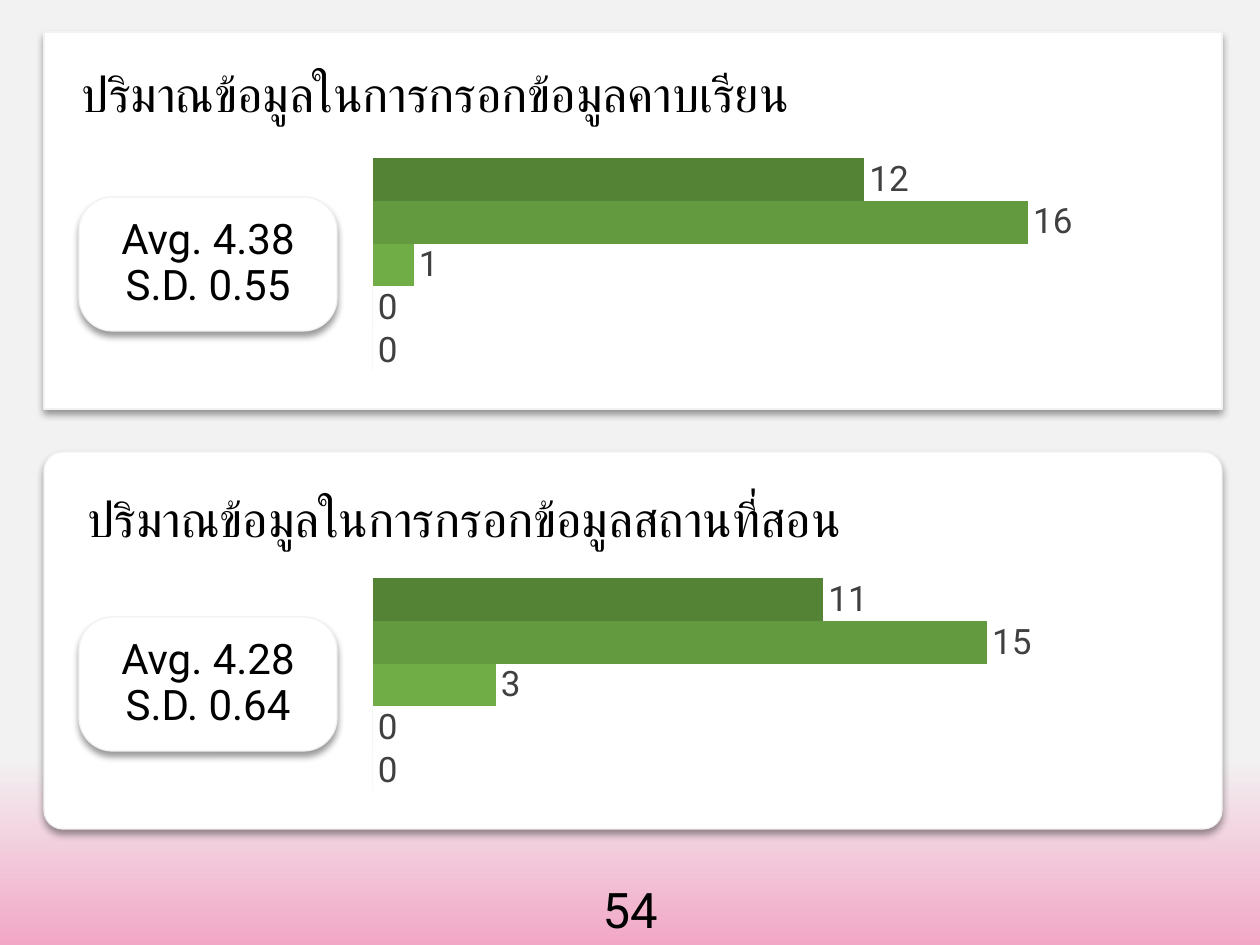
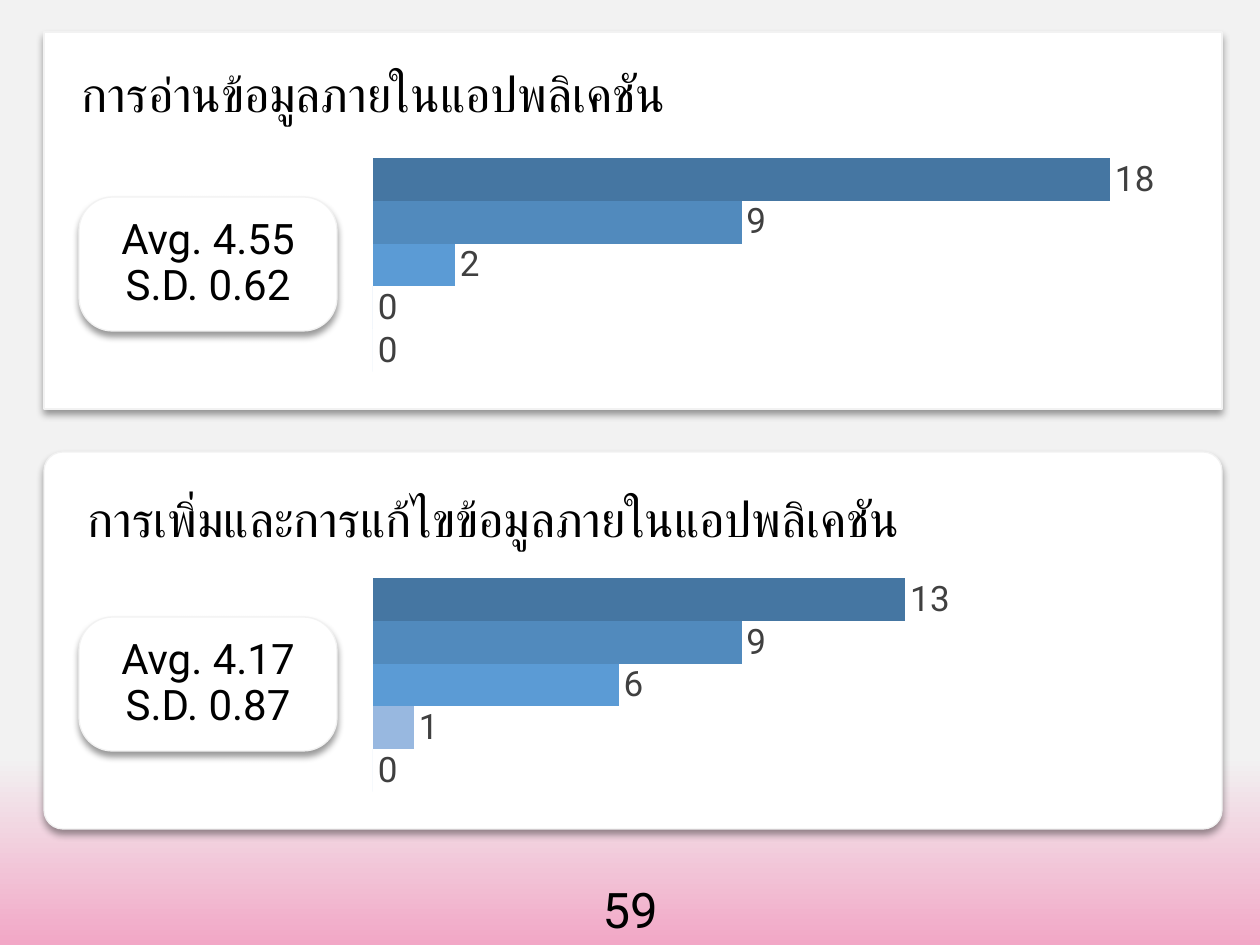
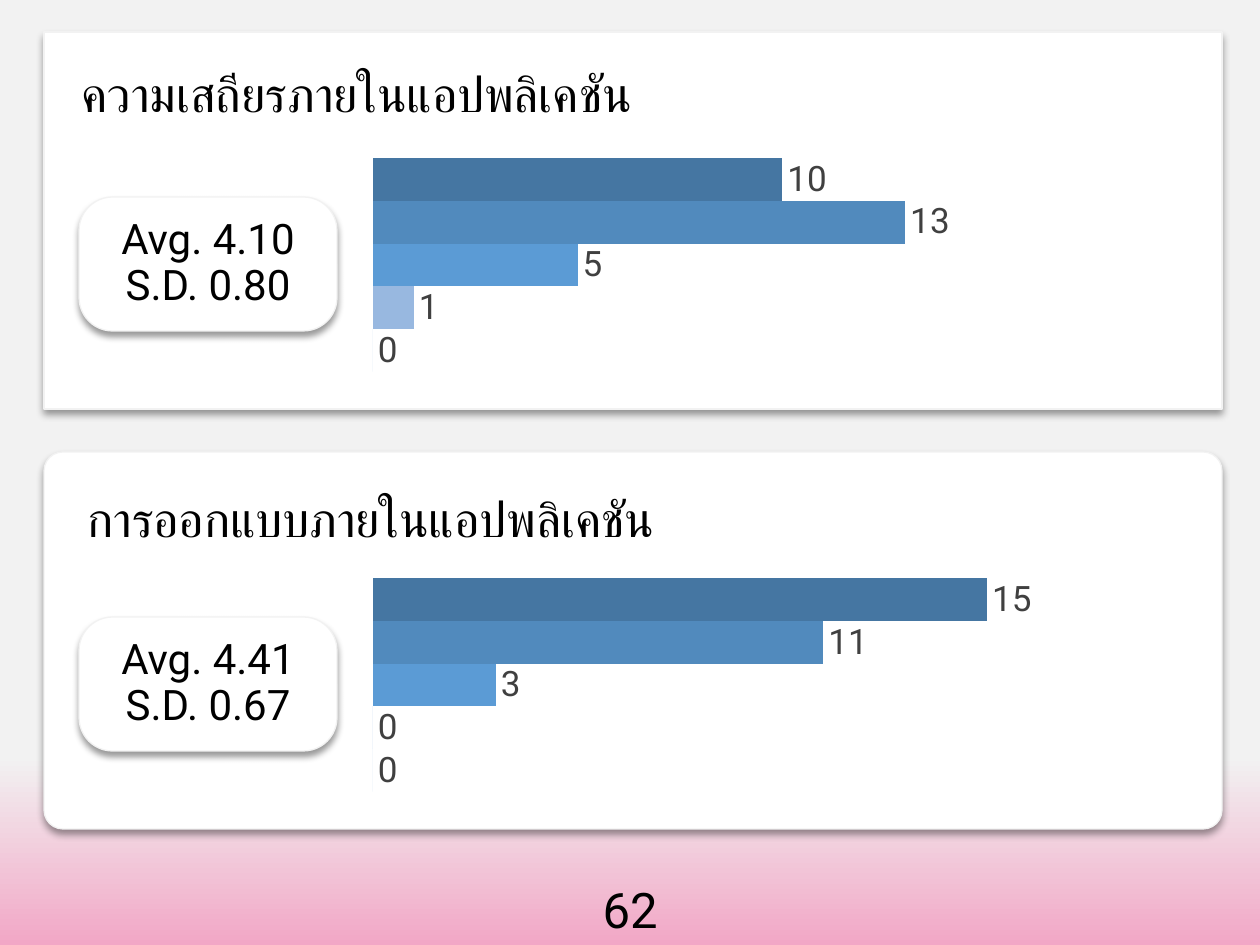
from dataclasses import dataclass

from lxml import etree
from pptx import Presentation
from pptx import util as u
from pptx.chart.data import CategoryChartData
from pptx.dml.color import RGBColor
from pptx.enum import chart as charts, shapes, text
from pptx.oxml import parse_xml
from pptx.oxml.ns import nsdecls, qn

# Content: answers run from the lowest rating (1) to the highest (5)
PAGES = [
    ("54", "green", [
        ("ปริมาณข้อมูลในการกรอกข้อมูลคาบเรียน", "4.38", "0.55", [0, 0, 1, 16, 12]),
        ("ปริมาณข้อมูลในการกรอกข้อมูลสถานที่สอน", "4.28", "0.64", [0, 0, 3, 15, 11]),
    ]),
    ("59", "blue", [
        ("การอ่านข้อมูลภายในแอปพลิเคชัน", "4.55", "0.62", [0, 0, 2, 9, 18]),
        ("การเพิ่มและการแก้ไขข้อมูลภายในแอปพลิเคชัน", "4.17", "0.87", [0, 1, 6, 9, 13]),
    ]),
    ("62", "blue", [
        ("ความเสถียรภายในแอปพลิเคชัน", "4.10", "0.80", [0, 1, 5, 13, 10]),
        ("การออกแบบภายในแอปพลิเคชัน", "4.41", "0.67", [0, 0, 3, 11, 15]),
    ]),
]
BARS = {
    "green": ["C3D8BB", "A1C490", "70AD47", "639A3F", "558336"],
    "blue": ["BED1EA", "98B8E0", "5B9BD5", "518ABD", "4576A2"],
}


@dataclass(frozen=True)
class Theme:
    font: str = "Roboto"
    ink: str = "000000"
    label: str = "404040"
    card: str = "FFFFFF"
    edge: str = "F2F2F2"
    glow: str = "F2A7C6"
    heading: int = 28
    stat: int = 24
    value: int = 20


THEME = Theme()

# Layout in px, as left, top, width, height
PX_PER_INCH = 126
PANEL = (44, 32, 1178, 377)
BADGE = (79, 197, 258, 134)
CHART = (373, 120, 819, 290)
NUMBER = (546, 873, 168, 72)
PANEL_STEP = 420
PANEL_INSET = 38
PANEL_ROUND, BADGE_ROUND = 0.05, 0.25
SCALE_MAX, BAR_GAP = 20, 179


def px(length):
    return round(length * u.Inches(1) / PX_PER_INCH)


def place(area, row=0):
    left, top, width, height = area
    return [px(v) for v in (left, top + row * PANEL_STEP, width, height)]


def apply(target, values):
    for name, value in values.items():
        setattr(target, name, value)


def style_font(font, size, colour=THEME.ink):
    apply(font, {"name": THEME.font, "size": u.Pt(size), "bold": False})
    font.color.rgb = RGBColor.from_string(colour)


def write(shape, lines, size, align, anchor, inset=0, spacing=0.9):
    frame = shape.text_frame
    apply(frame, {"word_wrap": True, "auto_size": text.MSO_AUTO_SIZE.NONE,
                  "vertical_anchor": anchor})
    apply(frame, {f"margin_{side}": px(inset)
                  for side in ("left", "top", "right", "bottom")})
    para = frame.paragraphs[0]
    apply(para, {"alignment": align, "line_spacing": spacing})
    for index, line in enumerate(lines):
        if index:
            para.add_line_break()
        span = para.add_run()
        span.text = line
        style_font(span.font, size)


def style_card(shape):
    shape.fill.solid()
    shape.fill.fore_color.rgb = RGBColor.from_string(THEME.card)
    shape.line.color.rgb = RGBColor.from_string(THEME.edge)
    shape.line.width = u.Pt(0.75)
    shape.shadow.inherit = False
    effects = shape._element.spPr.find(qn("a:effectLst"))
    effects.append(parse_xml(
        f'<a:outerShdw {nsdecls("a")} blurRad="{u.Pt(4)}" dist="{u.Pt(3)}" '
        'dir="5400000" algn="t" rotWithShape="0">'
        f'<a:srgbClr val="{THEME.ink}"><a:alpha val="40000"/></a:srgbClr>'
        '</a:outerShdw>'))


def add_card(page, area, row, rounding):
    card = page.shapes.add_shape(shapes.MSO_SHAPE.ROUNDED_RECTANGLE, *place(area, row))
    card.adjustments[0] = rounding
    style_card(card)
    return card


def add_panel(page, row, heading):
    if row == 0:
        panel = page.shapes.title
        apply(panel, dict(zip(("left", "top", "width", "height"), place(PANEL))))
        style_card(panel)
    else:
        panel = add_card(page, PANEL, row, PANEL_ROUND)
    write(panel, [heading], THEME.heading, text.PP_ALIGN.LEFT,
          text.MSO_ANCHOR.TOP, PANEL_INSET)


def add_badge(page, row, average, deviation):
    badge = add_card(page, BADGE, row, BADGE_ROUND)
    write(badge, [f"Avg. {average}", f"S.D. {deviation}"], THEME.stat,
          text.PP_ALIGN.CENTER, text.MSO_ANCHOR.MIDDLE)


def fill_plot_area(chart):
    area = chart._chartSpace.chart.plotArea
    for old in area.findall(qn("c:layout")):
        area.remove(old)
    layout = etree.Element(qn("c:layout"))
    manual = etree.SubElement(layout, qn("c:manualLayout"))
    for tag, value in (("layoutTarget", "inner"), ("xMode", "edge"), ("yMode", "edge"),
                       ("x", "0"), ("y", "0"), ("w", "1"), ("h", "1")):
        etree.SubElement(manual, qn(f"c:{tag}")).set("val", value)
    area.insert(0, layout)


def add_ratings(page, row, answers, colours):
    data = CategoryChartData()
    data.categories = ["1"]
    for rating, count in enumerate(answers, 1):
        data.add_series(f"Series {rating}", [count])
    chart = page.shapes.add_chart(
        charts.XL_CHART_TYPE.BAR_CLUSTERED, *place(CHART, row), data).chart
    apply(chart, {"has_legend": False, "has_title": False})
    style_font(chart.font, THEME.value)
    fill_plot_area(chart)
    apply(chart.category_axis, {"visible": False, "has_major_gridlines": False})
    apply(chart.value_axis, {"visible": False, "has_major_gridlines": False,
                             "minimum_scale": 0, "maximum_scale": SCALE_MAX})
    plot = chart.plots[0]
    apply(plot, {"gap_width": BAR_GAP, "overlap": 0, "vary_by_categories": False})
    for series, colour in zip(plot.series, colours):
        series.format.fill.solid()
        series.format.fill.fore_color.rgb = RGBColor.from_string(colour)
        labels = series.data_labels
        apply(labels, {"show_value": True,
                       "position": charts.XL_LABEL_POSITION.OUTSIDE_END})
        style_font(labels.font, THEME.value, THEME.label)


def add_number(page, number):
    box = page.shapes.add_textbox(*place(NUMBER))
    write(box, [number], THEME.heading, text.PP_ALIGN.CENTER,
          text.MSO_ANCHOR.MIDDLE, spacing=1.0)


def paint_background(master):
    fill = master.background.fill
    fill.gradient()
    fill.gradient_angle = 270  # counter-clockwise, so top to bottom
    for stop, position, colour in zip(fill.gradient_stops, (0.8, 1.0),
                                      (THEME.edge, THEME.glow)):
        stop.position = position
        stop.color.rgb = RGBColor.from_string(colour)


def main():
    deck = Presentation()
    apply(deck, {"slide_width": u.Inches(10), "slide_height": u.Inches(7.5)})
    paint_background(deck.slide_master)
    title_only = deck.slide_layouts[5]
    for number, palette, questions in PAGES:
        page = deck.slides.add_slide(title_only)
        add_number(page, number)
        for row, (heading, average, deviation, answers) in enumerate(questions):
            add_panel(page, row, heading)
            add_badge(page, row, average, deviation)
            add_ratings(page, row, answers, BARS[palette])
    deck.save("out.pptx")


if __name__ == "__main__":
    main()
